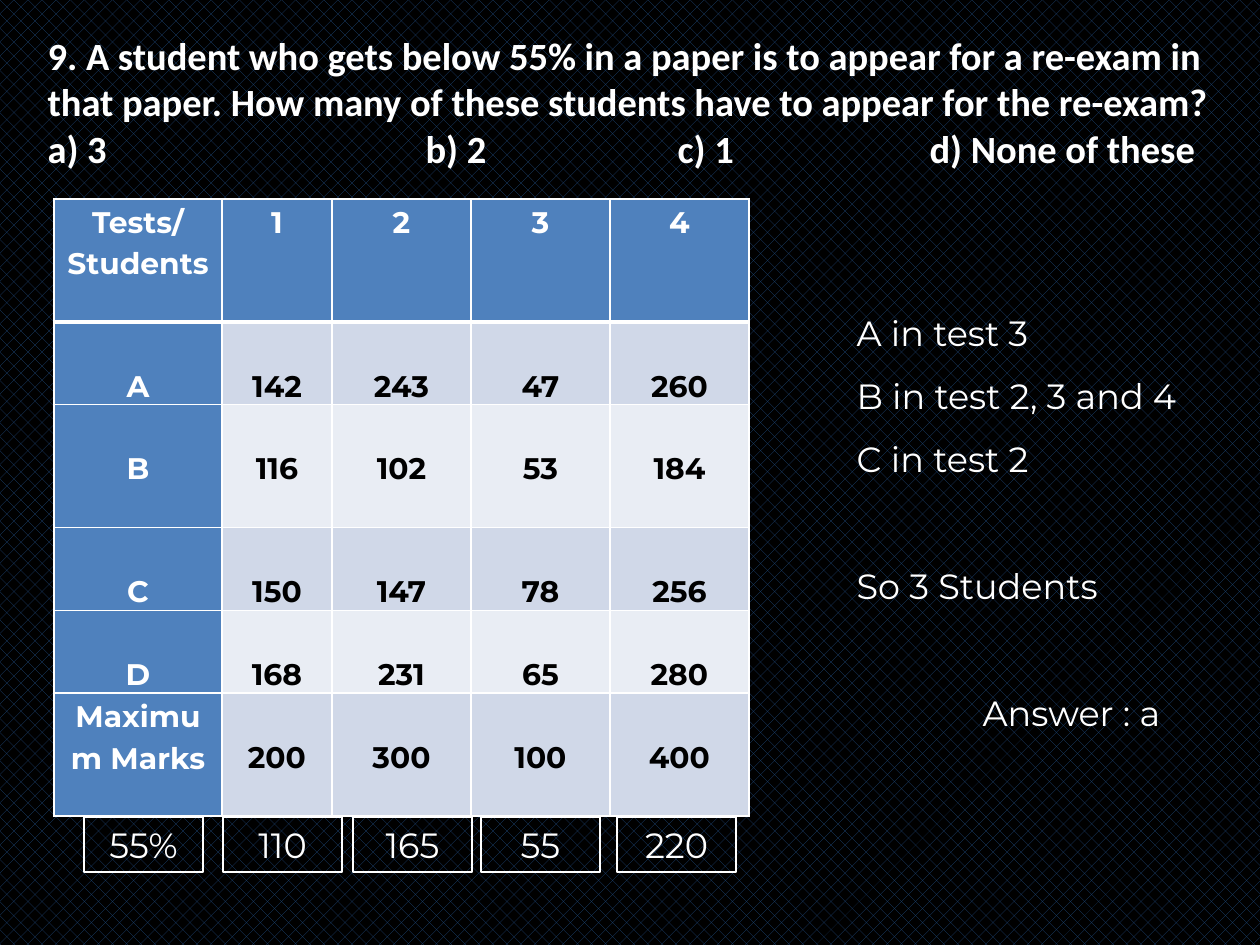
from lxml import etree
from pptx import Presentation
from pptx.dml.color import RGBColor
from pptx.enum import dml, shapes, text
from pptx.oxml import ns
from pptx.util import Emu, Pt

PX = 914400 // 126
WHITE, BLACK, BLUE = "FFFFFF", "000000", "4F81BD"
BANDS = ["D0D8E8", "E9EDF4"]

QUESTION = ("9. A student who gets below 55% in a paper is to appear for a re-exam in "
            "that paper. How many of these students have to appear for the re-exam?")
OPTIONS = ["a) 3", "b) 2", "c) 1", "d) None of these"]
OPTION_TABS = [378, 630, 882]

MARKS = [
    ["Tests/ Students", "1", "2", "3", "4"],
    ["A", "142", "243", "47", "260"],
    ["B", "116", "102", "53", "184"],
    ["C", "150", "147", "78", "256"],
    ["D", "168", "231", "65", "280"],
    ["Maximum Marks", "200", "300", "100", "400"],
]
COL_WIDTHS = [168, 110, 139, 139, 139]
ROW_HEIGHTS = [123, 82, 123, 82, 82, 123]

# Pass mark and left edge of its box
PASS_MARKS = [("55%", 84), ("110", 223), ("165", 353), ("55", 481), ("220", 617)]

# Text, space before in points, left indent in px
SOLUTION = [
    ("A in test 3", 0, 0),
    ("B in test 2, 3 and 4", 0, 0),
    ("C in test 2", 0, 0),
    ("So 3 Students", 36.5, 0),
    ("Answer : a", 36.5, 126),
]


def px(n):
    return Emu(n * PX)


def rgb(value):
    return RGBColor.from_string(value)


def place(sp, left, top, width, height):
    sp.left, sp.top, sp.width, sp.height = map(px, (left, top, width, height))


def write(p, content, size=20, font="Montserrat", color=WHITE, bold=False,
          align=text.PP_ALIGN.CENTER, spacing=1.0, before=0):
    p.alignment, p.line_spacing, p.space_before = align, spacing, Pt(before)
    r = p.add_run()
    r.text = content
    r.font.size, r.font.name, r.font.bold = Pt(size), font, bold
    r.font.color.rgb = rgb(color)


def add_borders(cell, widths):
    tcPr = cell._tc.get_or_add_tcPr()
    for i, (side, width) in enumerate(zip("LRTB", widths)):
        ln = etree.Element(ns.qn(f"a:ln{side}"), w=str(Pt(width)))
        fill = etree.SubElement(ln, ns.qn("a:solidFill"))
        etree.SubElement(fill, ns.qn("a:srgbClr"), val=WHITE)
        tcPr.insert(i, ln)


def add_title(slide):
    sp = slide.shapes.title
    place(sp, 35, 26, 1201, 152)
    tf = sp.text_frame
    tf.auto_size, tf.word_wrap = text.MSO_AUTO_SIZE.NONE, True
    tf.vertical_anchor = text.MSO_ANCHOR.TOP
    options = tf.add_paragraph()
    tabs = etree.SubElement(options._p.get_or_add_pPr(), ns.qn("a:tabLst"))
    for pos in OPTION_TABS:
        etree.SubElement(tabs, ns.qn("a:tab"), pos=str(px(pos)), algn="l")
    for p, content in ((tf.paragraphs[0], QUESTION), (options, "\t".join(OPTIONS))):
        write(p, content, size=22, font="Calibri", bold=True, align=text.PP_ALIGN.LEFT)


def add_marks_table(slide):
    table = slide.shapes.add_table(
        len(MARKS), len(COL_WIDTHS), px(54), px(199),
        px(sum(COL_WIDTHS)), px(sum(ROW_HEIGHTS))).table
    for col, width in zip(table.columns, COL_WIDTHS):
        col.width = px(width)
    for r, (row, height) in enumerate(zip(MARKS, ROW_HEIGHTS)):
        table.rows[r].height = px(height)
        for c, content in enumerate(row):
            cell = table.cell(r, c)
            heading = r == 0 or c == 0
            cell.fill.solid()
            cell.fill.fore_color.rgb = rgb(BLUE if heading else BANDS[(r - 1) % 2])
            add_borders(cell, (1, 1, 3 if r == 1 else 1, 3 if r == 0 else 1))
            cell.margin_left = cell.margin_right = px(9)
            # Marks and student names sit one line down
            cell.margin_top = px(0 if r == 0 or content == "Maximum Marks" else 41)
            cell.margin_bottom = 0
            write(cell.text_frame.paragraphs[0], content, size=17, bold=True,
                  color=WHITE if heading else BLACK, spacing=1.15)


def add_pass_marks(slide):
    for content, left in PASS_MARKS:
        sp = slide.shapes.add_shape(shapes.MSO_SHAPE.RECTANGLE,
                                    px(left), px(817), px(119), px(55))
        sp.shadow.inherit = False
        sp.fill.background()
        sp.line.color.rgb, sp.line.width = rgb(WHITE), Pt(1)
        sp.text_frame.word_wrap = True
        write(sp.text_frame.paragraphs[0], content)


def add_solution(slide):
    sp = slide.placeholders[1]
    place(sp, 844, 284, 391, 459)
    tf = sp.text_frame
    tf.auto_size, tf.word_wrap = text.MSO_AUTO_SIZE.NONE, True
    for i, (content, before, indent) in enumerate(SOLUTION):
        p = tf.add_paragraph() if i else tf.paragraphs[0]
        pPr = p._p.get_or_add_pPr()
        pPr.set("marL", str(px(indent)))
        pPr.set("indent", "0")
        etree.SubElement(pPr, ns.qn("a:buNone"))
        write(p, content, align=text.PP_ALIGN.LEFT, spacing=1.5, before=before)


def main():
    prs = Presentation()
    prs.slide_width, prs.slide_height = px(1260), px(945)
    slide = prs.slides.add_slide(prs.slide_layouts[1])

    # Dark patterned background
    fill = slide.background.fill
    fill.patterned()
    fill.pattern = dml.MSO_PATTERN.PERCENT_25
    fill.fore_color.rgb, fill.back_color.rgb = rgb("1F497D"), rgb(BLACK)

    add_title(slide)
    add_marks_table(slide)
    add_pass_marks(slide)
    add_solution(slide)
    prs.save("out.pptx")


if __name__ == "__main__":
    main()
